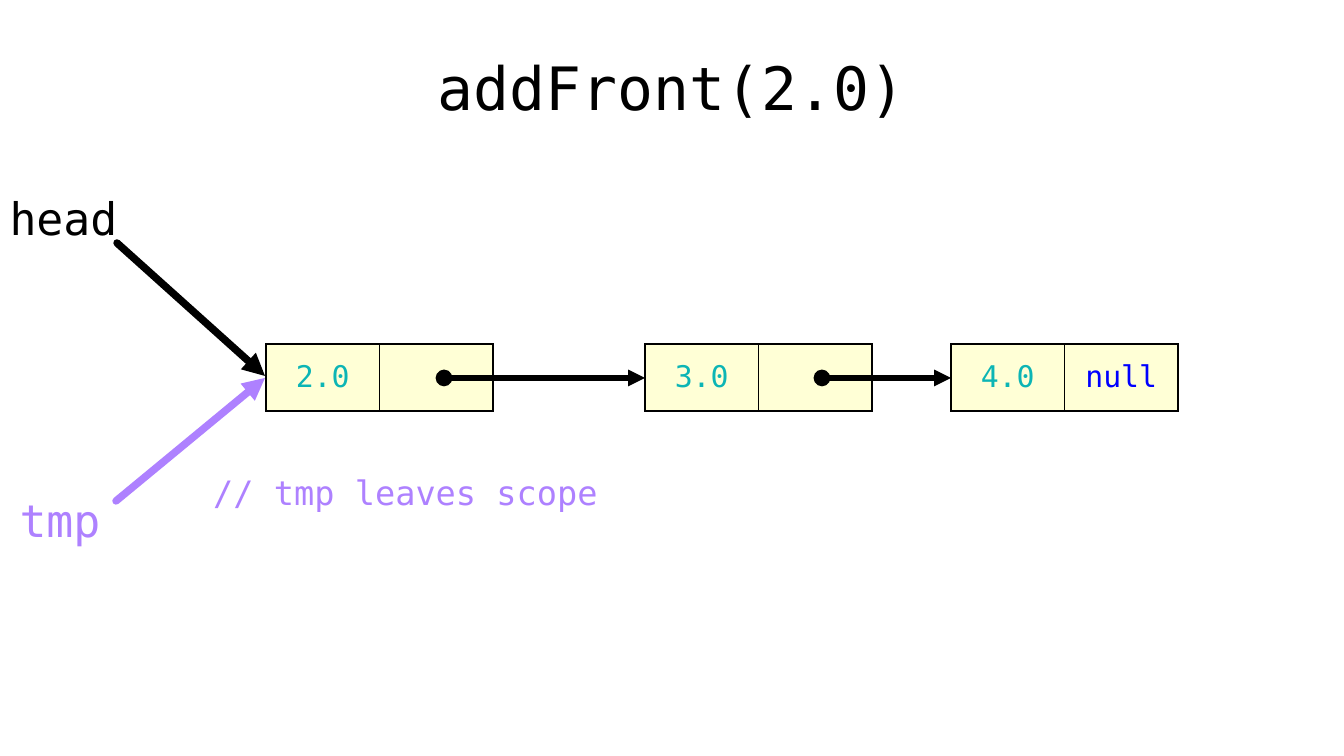
import pptx
import pptx.dml.color
import pptx.enum.shapes
import pptx.enum.text
import pptx.oxml
import pptx.oxml.ns
import pptx.util

FONT = "DejaVu Sans Mono"
BLACK, PURPLE, TEAL, BLUE, CREAM = "000000", "AE81FF", "0CB5B5", "0000FF", "FFFFD6"
LEFT, CENTER = pptx.enum.text.PP_ALIGN.LEFT, pptx.enum.text.PP_ALIGN.CENTER
TOP, MIDDLE = pptx.enum.text.MSO_ANCHOR.TOP, pptx.enum.text.MSO_ANCHOR.MIDDLE

SLIDE_WIDTH, SLIDE_HEIGHT = 1344, 756
SCALE = pptx.util.Inches(10) / SLIDE_WIDTH
NODE_TOP, NODE_WIDTH, NODE_HEIGHT = 344, 227, 67
LINK_Y = 378

# text, (left, top, width, height), size, colour, alignment, anchor
LABELS = [
    ("addFront(2.0)", (67, 38, 1210, 98), 32, BLACK, CENTER, MIDDLE),
    ("head", (-50, 184, 227, 67), 24, BLACK, CENTER, TOP),
    ("tmp", (2, 486, 116, 67), 24, PURPLE, CENTER, TOP),
    ("// tmp leaves scope", (200, 465, 1023, 54), 18, PURPLE, LEFT, TOP),
]
# left, ((cell text, colour), ...)
NODES = [
    (266, (("2.0", TEAL), ("", BLACK))),
    (645, (("3.0", TEAL), ("", BLACK))),
    (951, (("4.0", TEAL), ("null", BLUE))),
]
# start, end, colour, line width, start has a dot
ARROWS = [
    ((117, 243), (265, 376), BLACK, 4, False),
    ((116, 501), (265, 378), PURPLE, 4, False),
    ((444, LINK_Y), (645, LINK_Y), BLACK, 3, True),
    ((822, LINK_Y), (951, LINK_Y), BLACK, 3, True),
]


def emu(px):
    return pptx.util.Emu(round(px * SCALE))


def color(value):
    return pptx.dml.color.RGBColor.from_string(value)


def add_xml(parent, tag, content="", **attributes):
    """Append one drawing element, with optional inner XML, to parent."""
    pairs = " ".join(f'{name}="{value}"' for name, value in attributes.items())
    namespace = pptx.oxml.ns.nsdecls("a")
    parent.append(pptx.oxml.parse_xml(f"<a:{tag} {namespace} {pairs}>{content}</a:{tag}>"))


def write(frame, text, size, text_color, alignment):
    para = frame.paragraphs[0]
    para.text = text
    para.alignment = alignment
    for span in para.runs:
        span.font.name = FONT
        span.font.size = pptx.util.Pt(size)
        span.font.color.rgb = color(text_color)


def add_label(page, text, bounds, size, text_color, alignment, anchor):
    box = page.shapes.add_textbox(*map(emu, bounds))
    box.text_frame.word_wrap = True
    box.text_frame.vertical_anchor = anchor
    write(box.text_frame, text, size, text_color, alignment)


def add_node(page, left, entries):
    bounds = (left, NODE_TOP, NODE_WIDTH, NODE_HEIGHT)
    table = page.shapes.add_table(1, len(entries), *map(emu, bounds)).table
    for cell, (text, text_color) in zip(table.iter_cells(), entries):
        write(cell.text_frame, text, 16, text_color, CENTER)
        cell.vertical_anchor = MIDDLE
        properties = cell._tc.get_or_add_tcPr()
        line_fill = f'<a:solidFill><a:srgbClr val="{BLACK}"/></a:solidFill>'
        for side in "LRTB":
            add_xml(properties, f"ln{side}", line_fill, w=pptx.util.Pt(1))
        cell.fill.solid()
        cell.fill.fore_color.rgb = color(CREAM)


def add_arrow(page, start, end, line_color, width, dotted):
    arrow = page.shapes.add_connector(
        pptx.enum.shapes.MSO_CONNECTOR.STRAIGHT, *map(emu, start + end)
    )
    arrow.line.color.rgb = color(line_color)
    arrow.line.width = pptx.util.Pt(width)
    line = arrow.line._get_or_add_ln()
    line.set("cap", "rnd")
    if dotted:
        add_xml(line, "headEnd", type="oval")
    add_xml(line, "tailEnd", type="triangle")
    add_xml(arrow._element.spPr, "effectLst")


def main():
    deck = pptx.Presentation()
    deck.slide_width, deck.slide_height = emu(SLIDE_WIDTH), emu(SLIDE_HEIGHT)
    page = deck.slides.add_slide(deck.slide_layouts[6])
    for label in LABELS:
        add_label(page, *label)
    for node in NODES:
        add_node(page, *node)
    for arrow in ARROWS:
        add_arrow(page, *arrow)
    deck.save("out.pptx")


if __name__ == "__main__":
    main()
